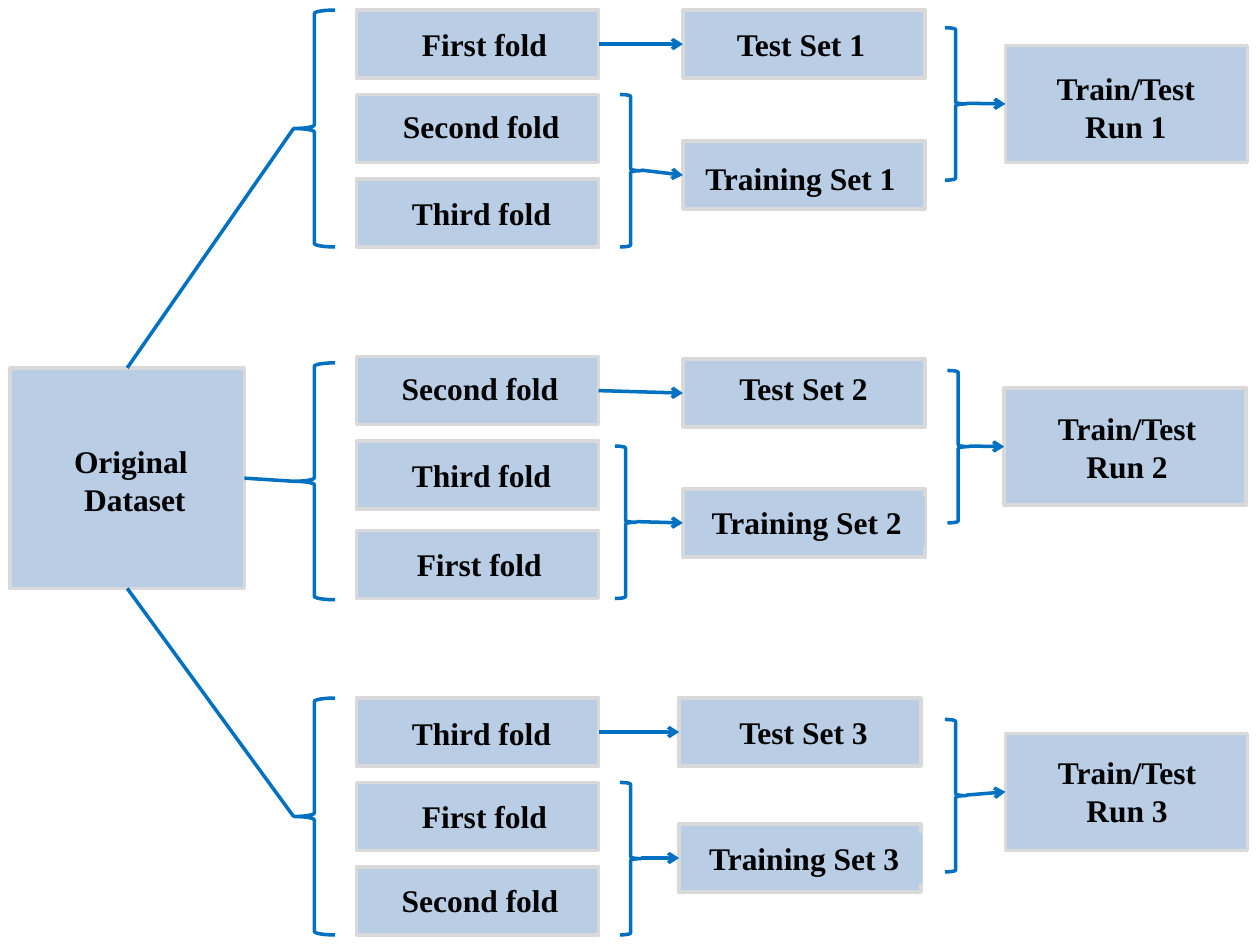
"""Build a slide that shows three-fold cross-validation as a flow of boxes."""
from pptx import Presentation
from pptx.dml.color import RGBColor
from pptx.enum.shapes import MSO_CONNECTOR as CONN, MSO_SHAPE as SHAPE
from pptx.enum.text import MSO_AUTO_SIZE as AUTO, PP_ALIGN as ALIGN
from pptx.oxml.ns import qn
from pptx.util import Inches, Pt
from lxml.etree import SubElement

prs = Presentation()
prs.slide_width, prs.slide_height = Inches(10), Inches(7.5)
s = prs.slides.add_slide(prs.slide_layouts[6])
rgb = RGBColor.from_string
FILL, EDGE, BLUE, BLACK = "B9CDE5", "D9D9D9", "0070C0", "000000"


def add_box(left, top, width, height, text, text_left, text_top, text_width):
    """Add a box with its label and return the box."""
    sp = s.shapes.add_shape(SHAPE.RECTANGLE, *map(Inches, (left, top, width, height)))
    sp.shadow.inherit = False
    sp.fill.solid()
    sp.fill.fore_color.rgb = rgb(FILL)
    sp.line.color.rgb = rgb(EDGE)
    sp.line.width = Pt(2)
    lines = text.split("\n")
    text_height = 0.71 if len(lines) > 1 else 0.4
    label = s.shapes.add_textbox(*map(Inches, (text_left, text_top, text_width, text_height)))
    label.fill.solid()
    label.fill.fore_color.rgb = rgb(FILL)
    tf = label.text_frame
    tf.word_wrap = False
    tf.auto_size = AUTO.SHAPE_TO_FIT_TEXT
    p = tf.paragraphs[0]
    p.alignment = ALIGN.CENTER if len(lines) > 1 else ALIGN.LEFT
    for i, line in enumerate(lines):
        if i:
            p.add_line_break()
        r = p.add_run()
        r.text = line
        r.font.name, r.font.size, r.font.bold = "Times New Roman", Pt(18), True
        r.font.color.rgb = rgb(BLACK)
    return sp


dataset = add_box(0.08, 2.92, 1.86, 1.75, "Original \nDataset", 0.48, 3.46, 1.18)

FOLD_WIDTH = {"First fold": 1.2, "Second fold": 1.46, "Third fold": 1.32}
BOX = 1.92, 0.54
RUN_BOX = 1.92, 0.93
runs = [
    dict(folds=[("First fold", 0.08, 3.25, 0.15), ("Second fold", 0.75, 3.1, 0.8),
                ("Third fold", 1.42, 3.17, 1.49)],
         test=(5.42, 0.08, 5.75, 0.15), train=(5.42, 1.12, 5.5, 1.21, 1.73),
         run=(7.98, 0.36, 8.28, 0.5), side=0,
         fold_brace=0.08, train_brace=(4.92, 0.75), run_brace=(7.5, 0.22)),
    dict(folds=[("Second fold", 2.83, 3.09, 2.88), ("Third fold", 3.5, 3.17, 3.57),
                ("First fold", 4.21, 3.21, 4.28)],
         test=(5.42, 2.85, 5.77, 2.88), train=(5.42, 3.88, 5.55, 3.94, 1.79),
         run=(7.97, 3.08, 8.29, 3.2), side=3,
         fold_brace=2.88, train_brace=(4.88, 3.54), run_brace=(7.52, 2.94)),
    dict(folds=[("Third fold", 5.54, 3.17, 5.62), ("First fold", 6.21, 3.25, 6.28),
                ("Second fold", 6.88, 3.09, 6.94)],
         test=(5.39, 5.54, 5.77, 5.61), train=(5.39, 6.54, 5.53, 6.61, 1.79),
         run=(7.98, 5.82, 8.29, 5.93), side=2,
         fold_brace=5.54, train_brace=(4.92, 6.21), run_brace=(7.5, 5.71)),
]

braces, links = [], []
for n, d in enumerate(runs, 1):
    folds = [add_box(2.83, top, *BOX, name, x, y, FOLD_WIDTH[name])
             for name, top, x, y in d["folds"]]
    left, top, x, y = d["test"]
    test = add_box(left, top, *BOX, f"Test Set {n}", x, y, 1.23)
    left, top, x, y, width = d["train"]
    train = add_box(left, top, *BOX, f"Training Set {n}", x, y, width)
    left, top, x, y = d["run"]
    run = add_box(left, top, *RUN_BOX, f"Train/Test\nRun {n}", x, y, 1.31)

    braces.append((SHAPE.LEFT_BRACE, 2.33, d["fold_brace"], 0.33, 1.88))
    links.append((dataset, d["side"], (2.33, d["fold_brace"] + 0.94), None))
    links.append((folds[0], 3, (4.75, d["test"][1] + 0.27), test))
    for (left, top), target in ((d["train_brace"], train), (d["run_brace"], run)):
        braces.append((SHAPE.RIGHT_BRACE, left, top, 0.17, 1.21))
        links.append((None, 3, (left + 0.17, top + 0.6), target))

for kind, *place in braces:
    sp = s.shapes.add_shape(kind, *map(Inches, place))
    sp.shadow.inherit = False
    sp.fill.background()
    sp.line.color.rgb = rgb(BLUE)
    sp.line.width = Pt(2)

for source, side, (x, y), target in links:
    c = s.shapes.add_connector(CONN.STRAIGHT, *map(Inches, (x, y, x, y)))
    c.line.color.rgb = rgb(BLUE)
    c.line.width = Pt(2)
    if source:
        c.begin_connect(source, side)
    if target:
        c.end_connect(target, 1)
        SubElement(c.line._get_or_add_ln(), qn("a:tailEnd"), type="arrow")
    SubElement(c._element.spPr, qn("a:effectLst"))

prs.save("out.pptx")
